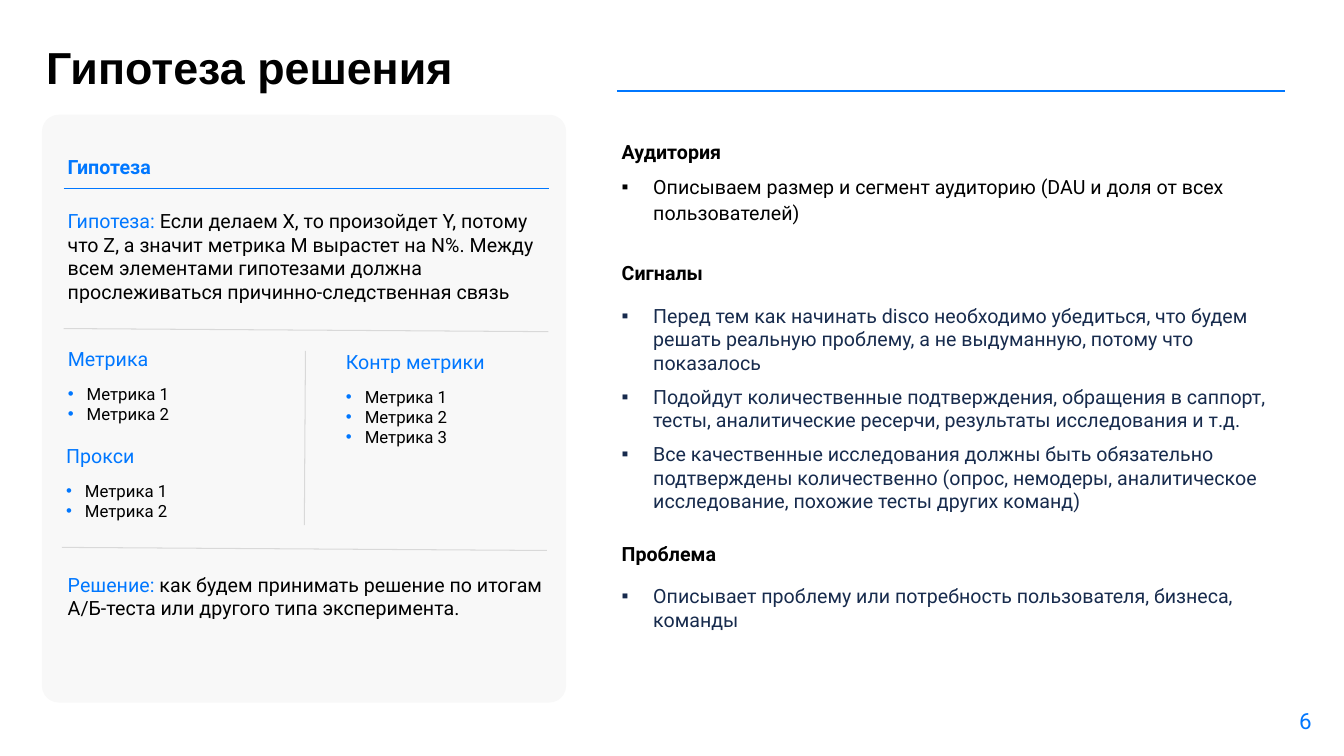
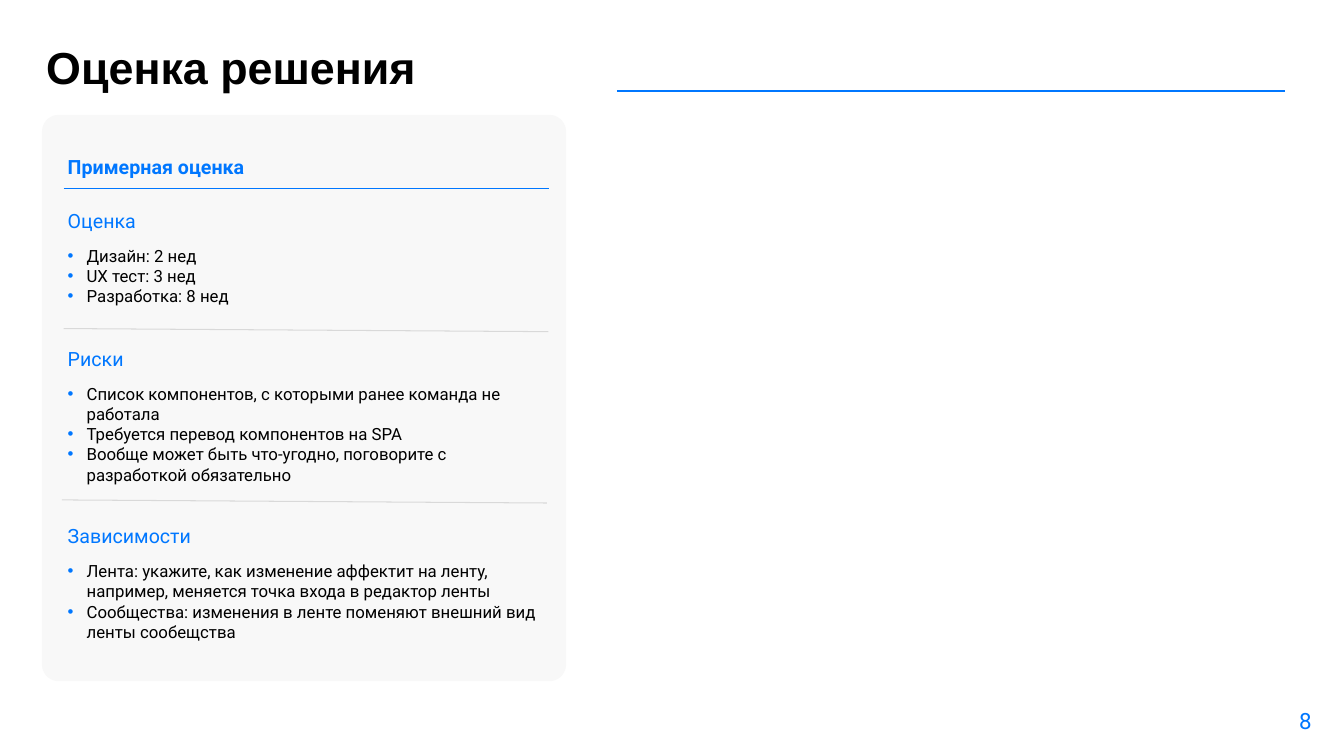
from dataclasses import dataclass

from lxml.etree import SubElement
from pptx import Presentation
from pptx.dml.color import RGBColor
from pptx.enum.shapes import MSO_CONNECTOR as CONN, MSO_SHAPE as SHAPE
from pptx.enum.text import MSO_ANCHOR as ANCHOR, PP_ALIGN as ALIGN
from pptx.oxml.ns import qn
from pptx.util import Pt


@dataclass(frozen=True)
class Theme:
    # Colours
    accent: str = "0077FF"
    ink: str = "000000"
    navy: str = "172B4D"
    panel: str = "F8F8F8"
    rule: str = "D9D9D9"
    # Fonts and type sizes
    title_font: str = "Arial"
    body_font: str = "Roboto"
    title: int = 32
    page: int = 16
    body: int = 14
    small: int = 12


T = Theme()
LEFT, WIDTH = 45.4, 346.4  # text column inside the panel


class Deck:
    def __init__(self):
        self.prs = Presentation()
        self.prs.slide_width, self.prs.slide_height = Pt(960), Pt(540)
        self.s = None

    # Slide frame: page number, title, panel and its heading
    def slide(self, title, page, panel_title, panel_height):
        self.s = self.prs.slides.add_slide(self.prs.slide_layouts[6])
        tf = self.box(920.2, 502, 24.5, 25)
        tf.word_wrap = False
        tf.vertical_anchor = ANCHOR.MIDDLE
        p = self.para(tf, page, T.page, T.accent)
        p.alignment = ALIGN.CENTER
        self.line(440.6, 65, 918, 65, T.accent, 2)
        self.para(self.box(30, 25.2, 320.4, 44), title, T.title,
                  bold=True, font=T.title_font)
        self.panel(30, 82, 374.4, panel_height)
        p = self.para(self.box(LEFT, 105.8, 237.6, 23), panel_title,
                      T.body, T.accent, bold=True)
        p.line_spacing = 1.1
        self.line(LEFT, 134.8, 392.4, 134.8, T.accent, 1)

    def panel(self, x, y, w, h):
        sp = self.s.shapes.add_shape(SHAPE.ROUNDED_RECTANGLE,
                                     Pt(x), Pt(y), Pt(w), Pt(h))
        sp.adjustments[0] = 0.032
        sp.shadow.inherit = False
        sp.fill.solid()
        sp.fill.fore_color.rgb = RGBColor.from_string(T.panel)
        sp.line.fill.background()

    def line(self, x1, y1, x2, y2, color=T.rule, width=0.75):
        ln = self.s.shapes.add_connector(CONN.STRAIGHT, Pt(x1), Pt(y1),
                                         Pt(x2), Pt(y2))
        ln.line.color.rgb = RGBColor.from_string(color)
        ln.line.width = Pt(width)
        SubElement(ln._element.spPr, qn("a:effectLst"))

    def divider(self, x, y):
        self.line(x, y, x + WIDTH, y + 2.2)

    # Text
    def box(self, x, y, w, h, inset=(3, 3)):
        tf = self.s.shapes.add_textbox(Pt(x), Pt(y), Pt(w), Pt(h)).text_frame
        tf.word_wrap = True
        tf.margin_left = tf.margin_right = Pt(inset[0])
        tf.margin_top = tf.margin_bottom = Pt(inset[1])
        return tf

    def style(self, r, size, color, bold=False, font=T.body_font):
        r.font.size, r.font.bold, r.font.name = Pt(size), bold, font
        r.font.color.rgb = RGBColor.from_string(color)

    def para(self, tf, text, size, color=T.ink, bold=False, font=T.body_font):
        p = tf.paragraphs[0]
        if p.runs:
            p = tf.add_paragraph()
        p.text = text
        self.style(p.runs[0], size, color, bold, font)
        return p

    def bullet(self, p, char, indent, color=None):
        pPr = p._p.get_or_add_pPr()
        pPr.set("marL", str(Pt(indent)))
        pPr.set("indent", str(-Pt(indent)))
        if color:
            clr = SubElement(pPr, qn("a:buClr"))
            SubElement(clr, qn("a:srgbClr"), val=color)
        SubElement(pPr, qn("a:buFont"), typeface="Arial")
        SubElement(pPr, qn("a:buChar"), char=char)

    def lead(self, y, h, label, text):
        """Paragraph that opens with a coloured label."""
        p = self.para(self.box(LEFT, y, WIDTH, h), label, T.body, T.accent)
        r = p.add_run()
        r.text = text
        self.style(r, T.body, T.ink)

    def bullets(self, x, y, w, h, heading, items):
        """Coloured heading over a compact bullet list."""
        tf = self.box(x, y, w, h)
        self.para(tf, heading, T.body, T.accent).space_after = Pt(9.4)
        for item in items:
            self.bullet(self.para(tf, item, T.small), "•", 13.5, T.accent)

    def sections(self, x, y, w, h, groups):
        """Bold headings, each followed by square bullets."""
        tf = self.box(x, y, w, h, (7.2, 3.6))
        for i, (heading, color, items) in enumerate(groups):
            head = self.para(tf, heading, T.body, bold=True)
            head.line_spacing, head.space_after = 1.1, Pt(6)
            if i:
                head.space_before = Pt(18.9)
            for item in items:
                p = self.para(tf, item, T.body, color)
                if color == T.ink:
                    p.line_spacing, p.space_after = 1.1, Pt(6)
                else:
                    p.space_before = Pt(7.5)
                self.bullet(p, "▪", 22.5)


def hypothesis(d):
    d.slide("Гипотеза решения", "6", "Гипотеза", 419.8)
    d.lead(146.2, 77.8, "Гипотеза: ",
           "Если делаем X, то произойдет Y, потому что Z, а значит метрика M "
           "вырастет на N%. Между всем элементами гипотезами должна "
           "прослеживаться причинно-следственная связь")
    d.divider(LEFT, 234.7)
    # Metrics
    metrics = ["Метрика 1", "Метрика 2", "Метрика 3"]
    d.bullets(LEFT, 244.8, 106.6, 55.4, "Метрика", metrics[:2])
    d.bullets(244.1, 247, 132.5, 70.6, "Контр метрики", metrics)
    d.bullets(44.2, 313.9, 106.6, 55.4, "Прокси", metrics[:2])
    d.line(218.2, 250.6, 217.4, 375.1)
    d.divider(44.2, 391)
    d.lead(406.1, 33.8, "Решение: ",
           "как будем принимать решение по итогам А/Б-теста или другого типа "
           "эксперимента.")
    # Right column
    d.sections(437, 95, 483.8, 393.1, [
        ("Аудитория", T.ink, [
            "Описываем размер и сегмент аудиторию (DAU и доля от всех "
            "пользователей)"]),
        ("Сигналы", T.navy, [
            "Перед тем как начинать disco необходимо убедиться, что будем "
            "решать реальную проблему, а не выдуманную, потому что показалось",
            "Подойдут количественные подтверждения, обращения в саппорт, "
            "тесты, аналитические ресерчи, результаты исследования и т.д.",
            "Все качественные исследования должны быть обязательно "
            "подтверждены количественно (опрос, немодеры, аналитическое "
            "исследование, похожие тесты других команд)"]),
        ("Проблема", T.navy, [
            "Описывает проблему или потребность пользователя, бизнеса, "
            "команды"]),
    ])


def estimate(d):
    d.slide("Оценка решения", "8", "Примерная оценка", 404.6)
    d.bullets(LEFT, 146.2, WIDTH, 70.6, "Оценка", [
        "Дизайн: 2 нед", "UX тест: 3 нед", "Разработка: 8 нед"])
    d.divider(LEFT, 234.7)
    d.bullets(LEFT, 244.8, WIDTH, 99.4, "Риски", [
        "Список компонентов, с которыми ранее команда не работала",
        "Требуется перевод компонентов на SPA",
        "Вообще может быть что-угодно, поговорите с разработкой обязательно"])
    d.divider(44.2, 357.1)
    d.bullets(LEFT, 371.5, WIDTH, 85, "Зависимости", [
        "Лента: укажите, как изменение аффектит на ленту, например, меняется "
        "точка входа в редактор ленты",
        "Сообщества: изменения в ленте поменяют внешний вид ленты сообещства"])


def main():
    d = Deck()
    hypothesis(d)
    estimate(d)
    d.prs.save("out.pptx")


if __name__ == "__main__":
    main()
